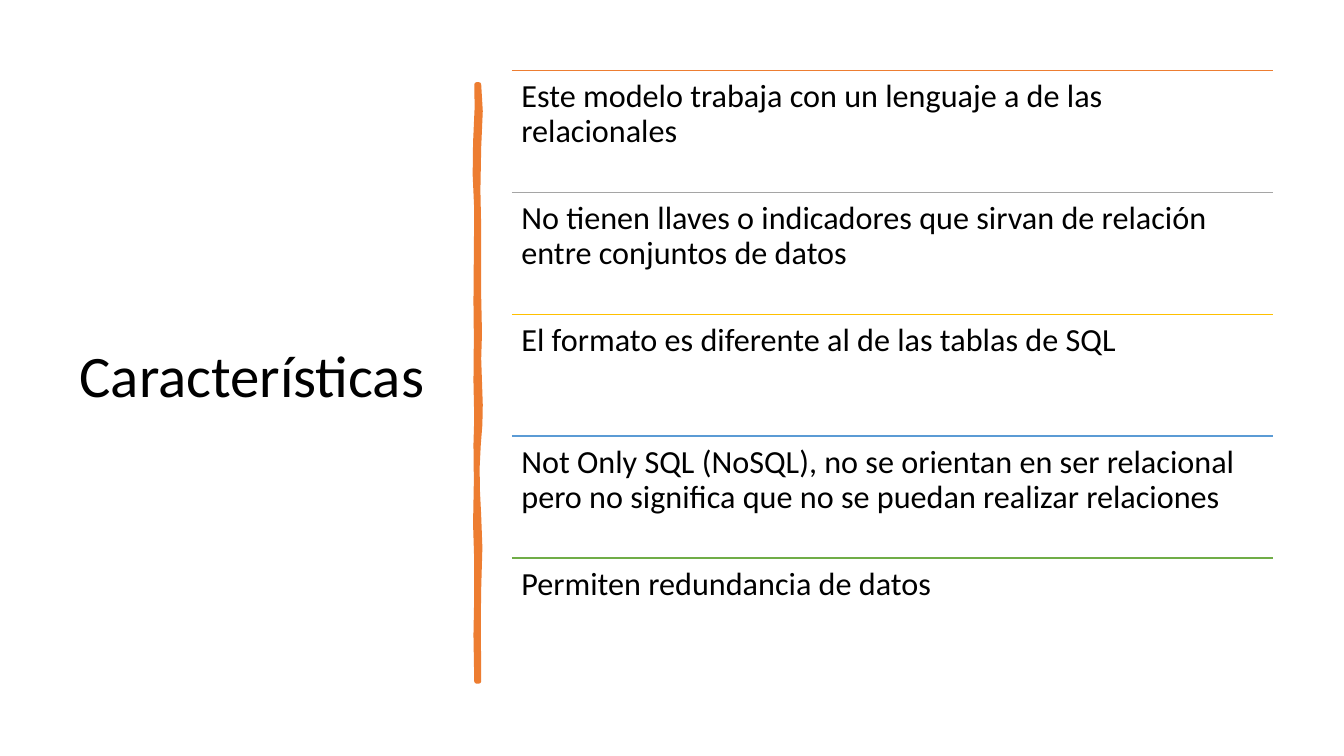
"""Build the slide on the traits of non-relational databases."""
from lxml import etree
from pptx import Presentation
from pptx.dml.color import RGBColor
from pptx.enum import shapes, text
from pptx.oxml import ns
from pptx.util import Cm, Pt

BLACK = RGBColor(0, 0, 0)
ORANGE = RGBColor(0xED, 0x7D, 0x31)
GRAY = RGBColor(0xA5, 0xA5, 0xA5)
GOLD = RGBColor(0xFF, 0xC0, 0x00)
BLUE = RGBColor(0x5B, 0x9B, 0xD5)
GREEN = RGBColor(0x70, 0xAD, 0x47)
FONT = "Calibri"

TITLE = "Características"
TRAITS = [
    ("Este modelo trabaja con un lenguaje a de las relacionales", ORANGE),
    ("No tienen llaves o indicadores que sirvan de relación entre conjuntos de datos", GRAY),
    ("El formato es diferente al de las tablas de SQL", GOLD),
    ("Not Only SQL (NoSQL), no se orientan en ser relacional pero no significa "
     "que no se puedan realizar relaciones", BLUE),
    ("Permiten redundancia de datos", GREEN),
]
RIGHT = [(12.07, 2.13), (12.11, 2.8), (12.07, 3.71), (12.05, 4.8), (12.07, 5.74),
         (12.07, 7.47), (12.09, 8.4), (12.07, 9.04), (12.11, 10.2), (12.1, 10.7),
         (12.06, 11.2), (12.03, 11.8), (12.04, 12.4), (12.07, 13), (12.1, 13.8),
         (12.07, 14.83), (12.06, 15.6), (12.07, 17.17)]
LEFT = [(12.01, 17.17), (11.99, 16), (12.01, 15), (12.01, 14.15), (11.98, 13.2),
        (12, 12.12), (11.99, 11.2), (12.01, 10.54), (11.99, 9.6), (12, 8.51),
        (11.99, 7.6), (12, 6.35), (12.01, 5.3), (11.97, 4.4), (11.98, 3.6),
        (12.02, 2.7), (12.01, 2.13)]

X, TOP, WIDTH, STEP = 12.9, 1.78, 19.18, 3.07


def style(para, size):
    """Set the spacing and font of a paragraph."""
    para.line_spacing = 0.9
    para.alignment = text.PP_ALIGN.LEFT
    for run in para.runs:
        run.font.name = FONT
        run.font.size = Pt(size)
        run.font.color.rgb = BLACK


def add_title(slide):
    """Place the title at the left."""
    title = slide.shapes.title
    title.left, title.top, title.width, title.height = Cm(1.75), Cm(1.78), Cm(9.5), Cm(15.52)
    frame = title.text_frame
    frame.text = TITLE
    frame.auto_size = text.MSO_AUTO_SIZE.NONE
    frame.vertical_anchor = text.MSO_ANCHOR.MIDDLE
    style(frame.paragraphs[0], 42)


def add_stroke(slide):
    """Draw the wavy upright stroke."""
    edge = [(x * 100, y * 100) for x, y in RIGHT + LEFT]
    pen = slide.shapes.build_freeform(*edge[0], scale=Cm(0.01))
    pen.add_line_segments(edge[1:], close=True)
    stroke = pen.convert_to_shape()
    stroke.shadow.inherit = False
    stroke.fill.solid()
    stroke.fill.fore_color.rgb = ORANGE
    stroke.line.color.rgb = ORANGE
    stroke.line.width = Pt(3.25)
    etree.SubElement(stroke.line._get_or_add_ln(), ns.qn("a:round"))


def add_trait(slide, words, color, y):
    """Draw one rule with its text below."""
    rule = slide.shapes.add_connector(
        shapes.MSO_CONNECTOR.STRAIGHT, Cm(X), Cm(y), Cm(X + WIDTH), Cm(y))
    rule.line.color.rgb = color
    rule.line.width = Pt(1)
    etree.SubElement(rule._element.spPr, ns.qn("a:effectLst"))
    box = slide.shapes.add_textbox(Cm(X), Cm(y), Cm(WIDTH), Cm(STEP))
    frame = box.text_frame
    frame.word_wrap = True
    frame.margin_left = frame.margin_right = Cm(0.24)
    frame.margin_top = frame.margin_bottom = Cm(0.24)
    frame.text = words
    style(frame.paragraphs[0], 23)


def main():
    """Build and save the slide."""
    deck = Presentation()
    deck.slide_width, deck.slide_height = Cm(33.87), Cm(19.05)
    slide = deck.slides.add_slide(deck.slide_layouts[5])
    add_title(slide)
    add_stroke(slide)
    for row, (words, color) in enumerate(TRAITS):
        add_trait(slide, words, color, TOP + row * STEP)
    deck.save("out.pptx")


if __name__ == "__main__":
    main()
